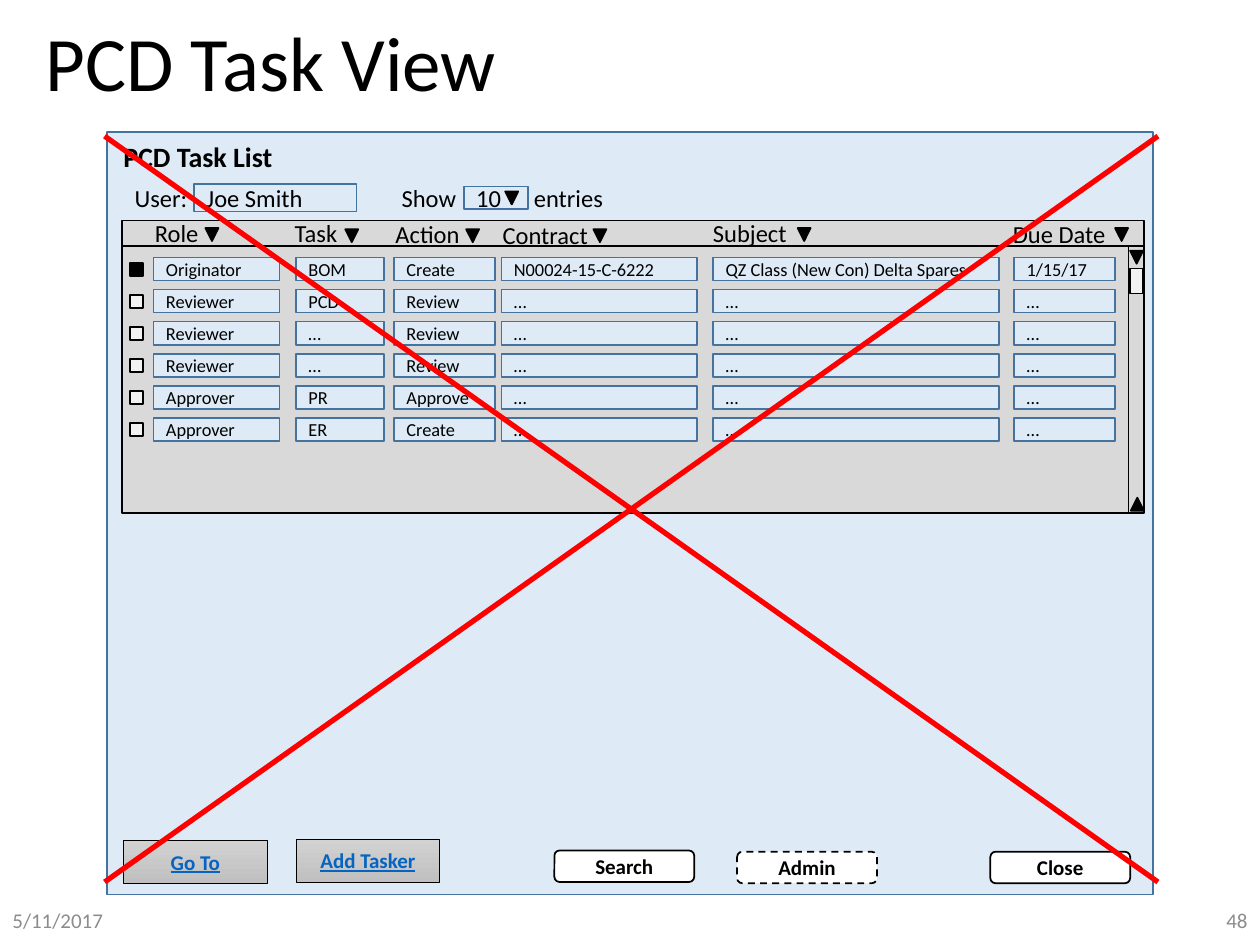
from lxml import etree
from pptx import Presentation
from pptx.dml.color import RGBColor
from pptx.enum import dml, shapes, text
from pptx.oxml import ns
from pptx.util import Pt

BLACK = RGBColor(0, 0, 0)
WHITE = RGBColor(0xFF, 0xFF, 0xFF)
RED = RGBColor(0xFF, 0, 0)
PALE_BLUE = RGBColor(0xDE, 0xEB, 0xF7)
EDGE_BLUE = RGBColor(0x43, 0x73, 0x9E)
LINK_BLUE = RGBColor(0x05, 0x63, 0xC1)
PANEL_GREY = RGBColor(0xD9, 0xD9, 0xD9)
LIGHT_GREY = RGBColor(0xF2, 0xF2, 0xF2)
FOOTER_GREY = RGBColor(0x8C, 0x8C, 0x8C)
BUTTON_TOP = RGBColor(0xD2, 0xD2, 0xD2)
BUTTON_BOTTOM = RGBColor(0xC0, 0xC0, 0xC0)

SHAPE = shapes.MSO_SHAPE
LEFT, CENTER, RIGHT = text.PP_ALIGN.LEFT, text.PP_ALIGN.CENTER, text.PP_ALIGN.RIGHT
MIDDLE, TOP = text.MSO_ANCHOR.MIDDLE, text.MSO_ANCHOR.TOP

# Content: heading, its left, top and width, its sort arrow's left and top, cell left and width
COLUMNS = [
    ("Role", 81.4, 121, 65.5, 117.4, 130.3, 87.8, 72),
    ("Task", 161.3, 121, 90, 197.3, 131, 169.2, 50.4),
    ("Action", 218.9, 121.7, 90, 266.4, 131, 225.2, 57.6),
    ("Contract", 280.1, 122.4, 72, 339.1, 131, 286.6, 111.6),
    ("Subject", 400.3, 121, 57.6, 455.8, 130.3, 407.6, 163.4),
    ("Due Date", 571.7, 121.7, 73.4, 637.2, 130.3, 579.6, 57.6),
]
TASKS = [
    ("Originator", "BOM", "Create", "N00024-15-C-6222",
     "QZ Class (New Con) Delta Spares", "1/15/17"),
    ("Reviewer", "PCD", "Review", "…", "…", "…"),
    ("Reviewer", "…", "Review", "…", "…", "…"),
    ("Reviewer", "…", "Review", "…", "…", "…"),
    ("Approver", "PR", "Approve", "…", "…", "…"),
    ("Approver", "ER", "Create", "…", "…", "…"),
]
LABELS = [  # text, left, top, width, size, bold, alignment
    ("PCD Task List", 63.4, 76.3, 296.6, 16, True, LEFT),
    ("User:", 69.1, 100.8, 45, 14, False, RIGHT),
    ("Show", 217.4, 100.8, 50.4, 14, False, RIGHT),
    ("entries", 298, 100.8, 55.5, 14, False, LEFT),
]
FIELDS = [("Joe Smith", 110.9, 105.1, 92.9, 15.8), ("10", 265, 106.6, 36.7, 13)]
LINK_BUTTONS = [("Go To", 70.6, 480.2), ("Add Tasker", 169.2, 479.5)]
BUTTONS = [("Search", 316.8, 486, False), ("Admin", 421.2, 486.7, True),
           ("Close", 565.9, 486.7, False)]
FOOTERS = [("5/11/2017", 0, LEFT), ("48", 558, RIGHT)]
FIRST_ROW, ROW_PITCH, CELL_HEIGHT = 147.2, 18.3, 13.2
MARK = 7.4  # side of arrows and check boxes

prs = Presentation()
prs.slide_width, prs.slide_height = Pt(720), Pt(540)
slide = prs.slides.add_slide(prs.slide_layouts[5])


def write(frame, words, size, color=BLACK, bold=False, align=LEFT, anchor=MIDDLE):
    frame.word_wrap = True
    frame.vertical_anchor = anchor
    paragraph = frame.paragraphs[0]
    paragraph.text = words
    paragraph.alignment = align
    font = paragraph.font
    font.name, font.size, font.bold, font.color.rgb = "Calibri", Pt(size), bold, color
    return paragraph


def add_label(words, left, top, width, height, size, **style):
    box = slide.shapes.add_textbox(Pt(left), Pt(top), Pt(width), Pt(height))
    write(box.text_frame, words, size, **style)


def add_box(kind, left, top, width, height, fill, line=BLACK, weight=1):
    box = slide.shapes.add_shape(kind, Pt(left), Pt(top), Pt(width), Pt(height))
    box.shadow.inherit = False
    box.fill.solid()
    box.fill.fore_color.rgb = fill
    box.line.color.rgb = line
    box.line.width = Pt(weight)
    return box


def add_field(words, left, top, width, height, size):
    field = add_box(SHAPE.RECTANGLE, left, top, width, height, PALE_BLUE, EDGE_BLUE)
    write(field.text_frame, words, size)


def add_arrow(left, top, rotation=180):
    add_box(SHAPE.ISOSCELES_TRIANGLE, left, top, MARK, MARK, BLACK).rotation = rotation


def add_line(x1, y1, x2, y2, color=BLACK, weight=1):
    line = slide.shapes.add_connector(
        shapes.MSO_CONNECTOR.STRAIGHT, Pt(x1), Pt(y1), Pt(x2), Pt(y2))
    line.line.color.rgb = color
    line.line.width = Pt(weight)
    etree.SubElement(line._element.spPr, ns.qn("a:effectLst"))


# Title and footers
title = slide.shapes.title
title.left, title.top, title.width, title.height = Pt(18.7), Pt(6.5), Pt(683.3), Pt(62.6)
title.text_frame.auto_size = text.MSO_AUTO_SIZE.NONE
write(title.text_frame, "PCD Task View", 44).line_spacing = 0.9
for words, left, align in FOOTERS:
    add_label(words, left, 511.2, 162, 28.8, 12, color=FOOTER_GREY, align=align)

# Window, list panel and scroll bar
add_box(SHAPE.RECTANGLE, 61.2, 75.6, 597.6, 435.6, PALE_BLUE, EDGE_BLUE)
add_box(SHAPE.FLOWCHART_PROCESS, 69.8, 126, 583.9, 167, PANEL_GREY)
add_line(69.8, 140.4, 653.7, 140.4)
add_line(645.1, 140.4, 645.1, 292.6, weight=0.5)
add_arrow(646.2, 284.4, rotation=0)
add_arrow(645.8, 143.3)
add_box(SHAPE.FLOWCHART_PROCESS, 645.8, 153.4, 7.4, 14.4, LIGHT_GREY)

# Labels and fields above the list
for words, left, top, width, size, bold, align in LABELS:
    add_label(words, left, top, width, 24.5, size, bold=bold, align=align, anchor=TOP)
for field in FIELDS:
    add_field(*field, 14)
add_arrow(288.7, 109.4)

# Task list
for heading, left, top, width, arrow_left, arrow_top, _, _ in COLUMNS:
    add_label(heading, left, top, width, 24.5, 14, anchor=TOP)
    add_arrow(arrow_left, arrow_top)
for row, task in enumerate(TASKS):
    top = FIRST_ROW + row * ROW_PITCH
    add_box(SHAPE.FLOWCHART_PROCESS, 74.4, top + 3, MARK, MARK,
            LIGHT_GREY if row else BLACK)
    for words, column in zip(task, COLUMNS):
        add_field(words, column[-2], top, column[-1], CELL_HEIGHT, 10.5)

# Buttons
for words, left, top in LINK_BUTTONS:
    button = add_box(SHAPE.ACTION_BUTTON_CUSTOM, left, top, 82.1, 24.5, BUTTON_TOP, weight=0.5)
    button.fill.gradient()
    button.fill.gradient_angle = 270
    for stop, color in zip(button.fill.gradient_stops, (BUTTON_TOP, BUTTON_BOTTOM)):
        stop.color.rgb = color
    write(button.text_frame, words, 12, LINK_BLUE, True, CENTER).font.underline = True
for words, left, top, dashed in BUTTONS:
    button = add_box(SHAPE.ROUNDED_RECTANGLE, left, top, 79.9, 18, WHITE)
    if dashed:
        button.line.dash_style = dml.MSO_LINE.DASH
    write(button.text_frame, words, 12, bold=True, align=CENTER)

# Red cross over the window
for start, end in ((77.8, 504), (504, 77.8)):
    add_line(59.8, start, 661.7, end, RED, 3)

prs.save("out.pptx")
